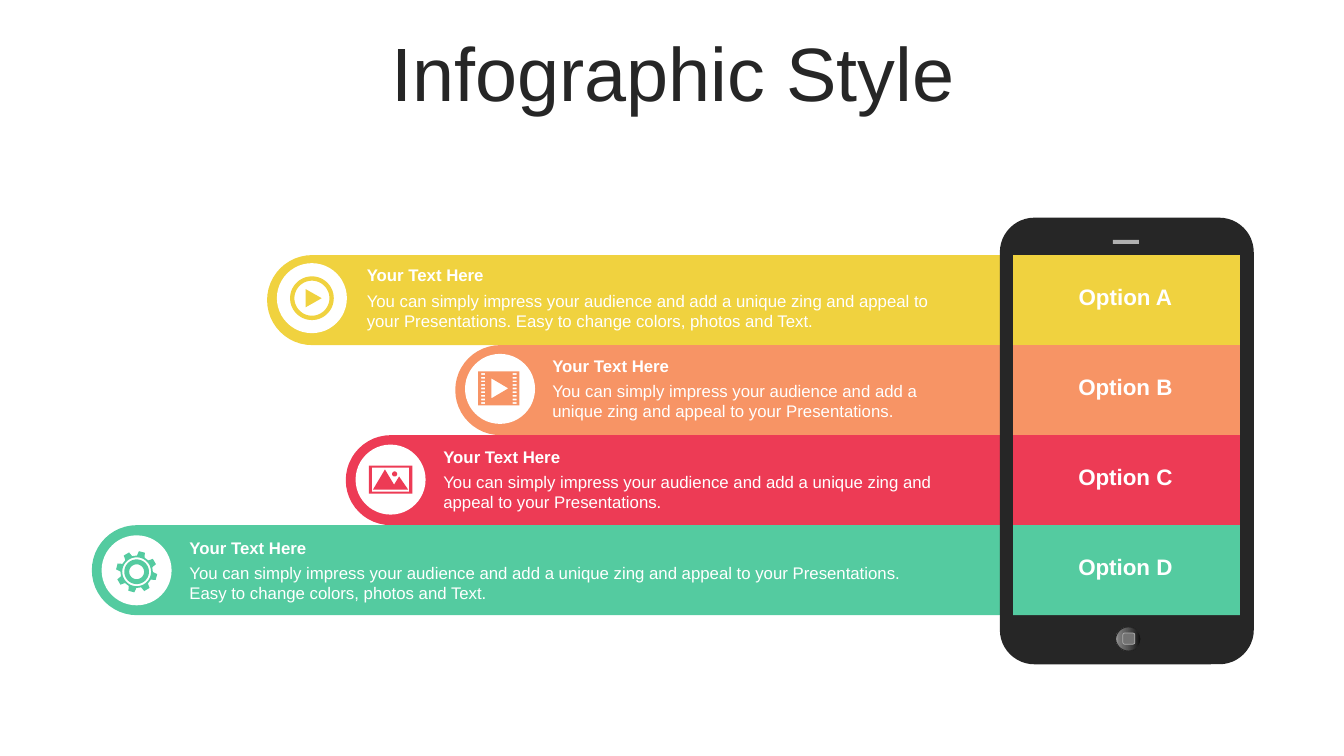
from copy import deepcopy
from dataclasses import dataclass
from math import cos, radians, sin

from pptx import Presentation
from pptx.dml.color import RGBColor
from pptx.enum.shapes import MSO_SHAPE
from pptx.enum.text import MSO_ANCHOR, PP_ALIGN
from pptx.oxml.ns import qn
from pptx.shapes.autoshape import Shape
from pptx.slide import Slide
from pptx.util import Pt

Point = tuple[float, float]
Contour = list[Point]


@dataclass(frozen=True)
class Theme:
    font: str = "Arial"
    dark: str = "262626"
    white: str = "FFFFFF"
    silver: str = "B0B0B0"
    button: str = "737373"
    yellow: str = "F0D23F"
    orange: str = "F79465"
    red: str = "ED3B55"
    green: str = "54CBA0"
    button_gradient: tuple[tuple[float, str], ...] = (
        (0, "0F0F0F"), (0.56, "595959"), (0.91, "808080"), (1, "BFBFBF"))
    title_size: float = 54
    option_size: float = 16
    text_size: float = 12


@dataclass(frozen=True)
class Frame:
    left: float
    top: float
    width: float
    height: float


@dataclass(frozen=True)
class Option:
    name: str
    color: str
    bar_left: float
    text_left: float
    text: str
    icon: list[Contour]
    icon_shift: Point = (0, 0)


THEME = Theme()
BAR_TOP, BAR_HEIGHT, BAR_RIGHT = 182.2, 64.3, 714.2
BADGE_TOP, BADGE_SIZE, BADGE_INDENT = 188, 50, 7
HEADING_TOP, TEXT_PITCH, TEXT_RIGHT = 185.8, 64.8, 675.6
SCREEN_LEFT, SCREEN_WIDTH = 723.6, 162
UNITS_PER_POINT = 100


def circle(radius: float, x: float = 0, y: float = 0) -> Contour:
    return [(x + radius * cos(radians(angle)), y + radius * sin(radians(angle)))
            for angle in range(0, 360, 6)]


def rectangle(left: float, top: float, width: float, height: float) -> Contour:
    right, bottom = left + width, top + height
    return [(left, top), (right, top), (right, bottom), (left, bottom)]


def play_icon() -> list[Contour]:
    return [circle(15.6), circle(12.5), [(-4.5, -6.5), (7, 0), (-4.5, 6.5)]]


def film_icon() -> list[Contour]:
    holes = [rectangle(left, -10.8 + 2.59 * row, 2.9, 1.2)
             for left in (-12.6, 9.8) for row in range(9)]
    return [rectangle(-14.7, -12.2, 29.4, 24.4), *holes,
            [(-5.4, -7.2), (6.8, 0), (-5.4, 7.2)]]


def photo_icon() -> list[Contour]:
    mountains = [(-4, -7.2), (2.5, 3.6), (6.1, -2.2), (12.6, 7.2), (-12.6, 7.2)]
    return [rectangle(-15.5, -10, 31, 20), rectangle(-13.3, -8.6, 26.6, 17.2),
            mountains, circle(1.8, 2.9, -4)]


def gear_icon() -> list[Contour]:
    tooth = ((-14, 11.6), (-8.5, 14.8), (8.5, 14.8), (14, 11.6))
    outline = [(radius * cos(radians(middle + turn)), radius * sin(radians(middle + turn)))
               for middle in range(-75, 285, 45) for turn, radius in tooth]
    return [outline, circle(10.3), circle(8.8), circle(5.3)]


LONG_TEXT = ("You can simply impress your audience and add a unique zing and appeal "
             "to your Presentations. Easy to change colors, photos and Text.")
SHORT_TEXT = ("You can simply impress your audience and add a unique zing and appeal "
              "to your Presentations.")
OPTIONS = [
    Option("Option A", THEME.yellow, 190.8, 254.9, LONG_TEXT, play_icon()),
    Option("Option B", THEME.orange, 325.2, 387.4, SHORT_TEXT, film_icon(), (-0.9, -0.4)),
    Option("Option C", THEME.red, 247, 309.6, SHORT_TEXT, photo_icon()),
    Option("Option D", THEME.green, 65.6, 128.2, LONG_TEXT, gear_icon(), (0, 1)),
]


def paint(shape: Shape, color: str) -> None:
    shape.shadow.inherit = False
    shape.fill.solid()
    shape.fill.fore_color.rgb = RGBColor.from_string(color)
    shape.line.fill.background()


def add_figure(page: Slide, kind: MSO_SHAPE, frame: Frame, color: str) -> Shape:
    figure = page.shapes.add_shape(
        kind, Pt(frame.left), Pt(frame.top), Pt(frame.width), Pt(frame.height))
    paint(figure, color)
    return figure


def set_outline(shape: Shape, color: str, width: float) -> None:
    shape.line.color.rgb = RGBColor.from_string(color)
    shape.line.width = Pt(width)


def add_text(page: Slide, frame: Frame, text: str, size: float, color: str = THEME.white,
             bold: bool = False, centered: bool = False) -> Shape:
    box = page.shapes.add_textbox(
        Pt(frame.left), Pt(frame.top), Pt(frame.width), Pt(frame.height))
    box.text_frame.word_wrap = True
    paragraph = box.text_frame.paragraphs[0]
    paragraph.alignment = PP_ALIGN.CENTER if centered else PP_ALIGN.LEFT
    span = paragraph.add_run()
    span.text = text
    for name, value in {"name": THEME.font, "size": Pt(size), "bold": bold}.items():
        setattr(span.font, name, value)
    span.font.color.rgb = RGBColor.from_string(color)
    return box


def add_bar(page: Slide, option: Option, top: float) -> None:
    """Draw an upright shape turned left, so that its rounded end is on the left."""
    length = BAR_RIGHT - option.bar_left
    center_x, center_y = option.bar_left + length / 2, top + BAR_HEIGHT / 2
    frame = Frame(center_x - BAR_HEIGHT / 2, center_y - length / 2, BAR_HEIGHT, length)
    bar = add_figure(page, MSO_SHAPE.ROUND_2_SAME_RECTANGLE, frame, option.color)
    bar.adjustments[0] = 0.5
    bar.rotation = 270


def add_icon(page: Slide, option: Option, center: Point) -> None:
    """Draw all contours as one outline, inner contours being holes."""
    x, y = (middle + shift for middle, shift in zip(center, option.icon_shift))
    contours = [[((x + dx) * UNITS_PER_POINT, (y + dy) * UNITS_PER_POINT)
                 for dx, dy in contour] for contour in option.icon]
    builder = page.shapes.build_freeform(*contours[0][0], scale=Pt(1) / UNITS_PER_POINT)
    for contour in contours:
        builder.move_to(*contour[0])
        builder.add_line_segments(contour[1:], close=True)
    paint(builder.convert_to_shape(), option.color)


def add_badge(page: Slide, option: Option, top: float) -> None:
    left = option.bar_left + BADGE_INDENT
    add_figure(page, MSO_SHAPE.OVAL, Frame(left, top, BADGE_SIZE, BADGE_SIZE), THEME.white)
    add_icon(page, option, (left + BADGE_SIZE / 2, top + BADGE_SIZE / 2))


def apply_gradient(shape: Shape, stops: tuple[tuple[float, str], ...]) -> None:
    shape.fill.gradient()
    shape.fill.gradient_angle = 180
    stop_list = next(shape.element.iter(qn("a:gsLst")))
    while len(stop_list) < len(stops):
        stop_list.append(deepcopy(stop_list[0]))
    for stop, (position, color) in zip(shape.fill.gradient_stops, stops):
        stop.position = position
        stop.color.rgb = RGBColor.from_string(color)


def add_phone(page: Slide) -> None:
    body = add_figure(page, MSO_SHAPE.ROUNDED_RECTANGLE,
                      Frame(714.2, 155.5, 181.4, 319), THEME.dark)
    body.adjustments[0] = 0.136
    add_figure(page, MSO_SHAPE.RECTANGLE, Frame(794.9, 171.4, 18.7, 2.9), THEME.silver)
    button = add_figure(page, MSO_SHAPE.OVAL, Frame(797, 447.8, 18, 17.3), THEME.dark)
    apply_gradient(button, THEME.button_gradient)
    set_outline(button, THEME.dark, 0)
    mark = add_figure(page, MSO_SHAPE.ROUNDED_RECTANGLE,
                      Frame(802, 452.2, 8.6, 7.9), THEME.button)
    set_outline(mark, THEME.silver, 0.5)


def main() -> None:
    deck = Presentation()
    deck.slide_width, deck.slide_height = Pt(960), Pt(540)
    page = deck.slides.add_slide(deck.slide_layouts[6])

    title = add_text(page, Frame(25.2, 26.6, 911.5, 56.9), "Infographic Style",
                     THEME.title_size, THEME.dark, centered=True)
    title.text_frame.vertical_anchor = MSO_ANCHOR.MIDDLE
    title.text_frame.paragraphs[0].line_spacing = 0.9

    for row, option in enumerate(OPTIONS):
        add_bar(page, option, BAR_TOP + row * BAR_HEIGHT)
    for row, option in enumerate(OPTIONS):
        top, width = HEADING_TOP + row * TEXT_PITCH, TEXT_RIGHT - option.text_left
        add_text(page, Frame(option.text_left, top + 18, width, 36), option.text,
                 THEME.text_size)
        add_text(page, Frame(option.text_left, top, width, 21.6), "Your Text Here",
                 THEME.text_size, bold=True)
        add_badge(page, option, BADGE_TOP + row * TEXT_PITCH)

    add_phone(page)
    for row, option in enumerate(OPTIONS):
        top = BAR_TOP + row * BAR_HEIGHT
        add_figure(page, MSO_SHAPE.RECTANGLE,
                   Frame(SCREEN_LEFT, top, SCREEN_WIDTH, BAR_HEIGHT), option.color)
        add_text(page, Frame(754.6, top + 16.7, 98.6, 28.8), option.name,
                 THEME.option_size, bold=True, centered=True)

    deck.save("out.pptx")


if __name__ == "__main__":
    main()
